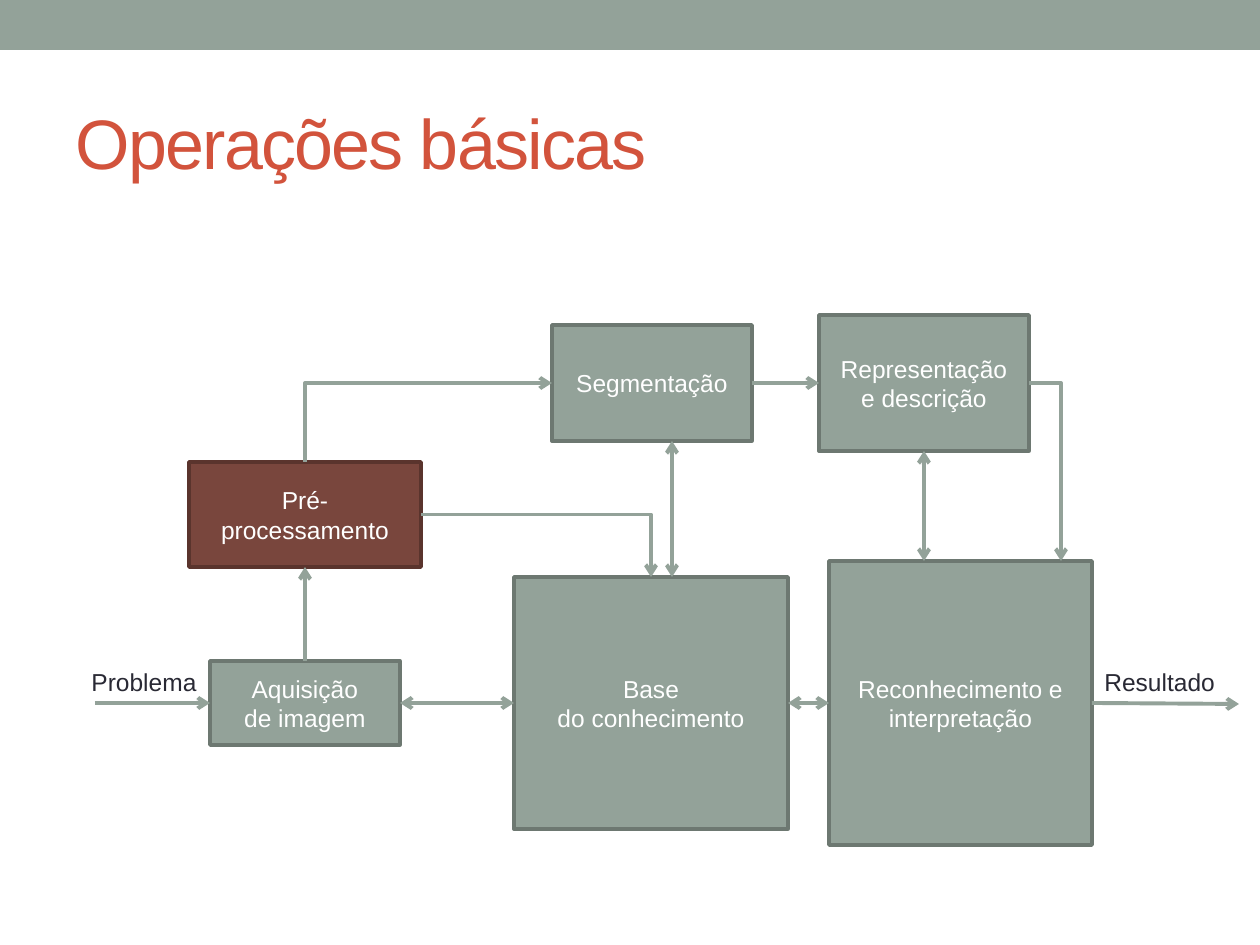
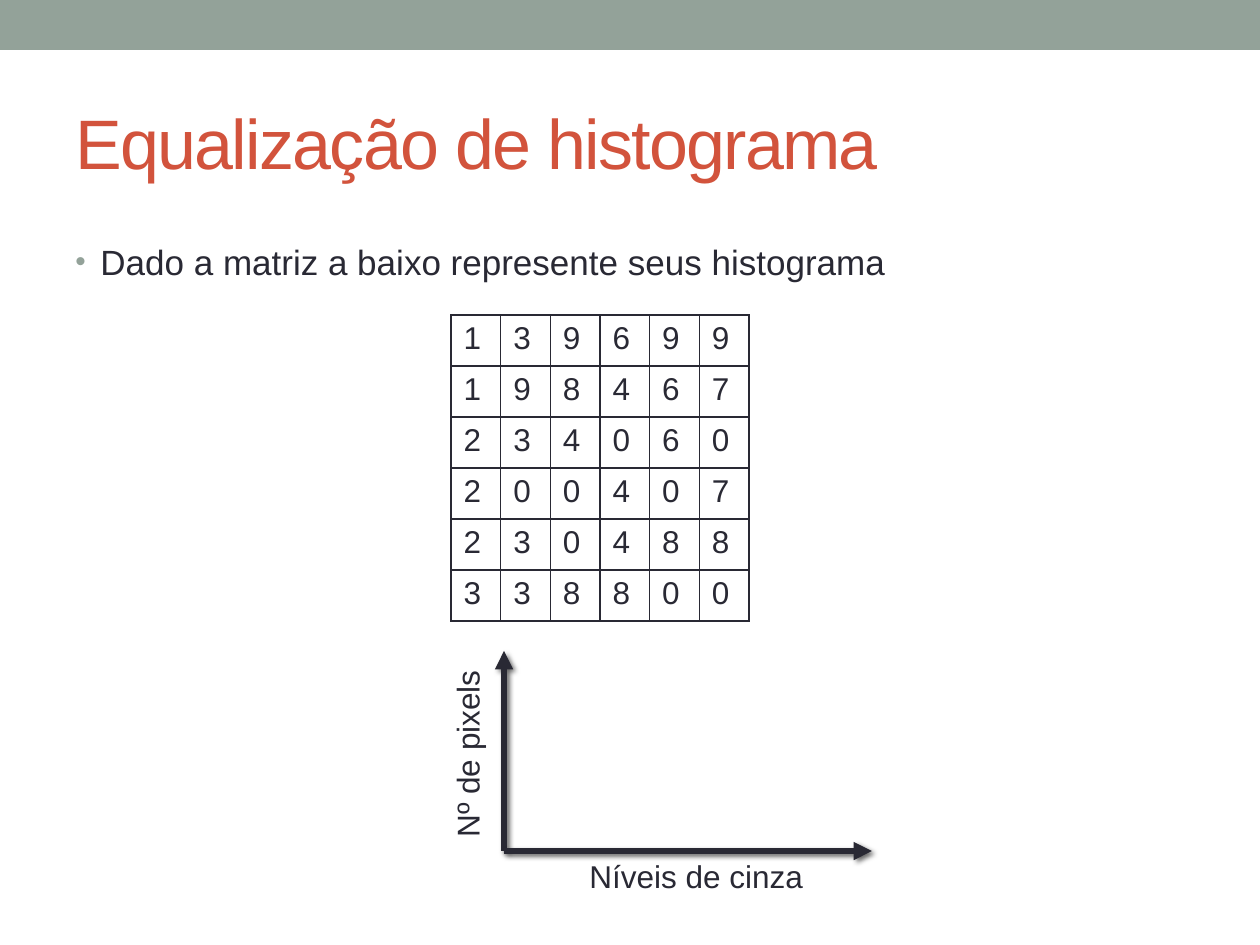
from dataclasses import dataclass

from lxml import etree
from pptx import Presentation
from pptx.dml.color import RGBColor
from pptx.enum.shapes import MSO_CONNECTOR, MSO_SHAPE
from pptx.enum.text import MSO_ANCHOR, MSO_AUTO_SIZE, PP_ALIGN
from pptx.oxml.ns import qn
from pptx.util import Emu, Pt

RECTANGLE = MSO_SHAPE.RECTANGLE
STRAIGHT, ELBOW = MSO_CONNECTOR.STRAIGHT, MSO_CONNECTOR.ELBOW
MIDDLE = MSO_ANCHOR.MIDDLE
LEFT, CENTER = PP_ALIGN.LEFT, PP_ALIGN.CENTER
NO_FIT, GROW = MSO_AUTO_SIZE.NONE, MSO_AUTO_SIZE.SHAPE_TO_FIT_TEXT
TOP_SIDE, LEFT_SIDE, BOTTOM_SIDE, RIGHT_SIDE = range(4)

PX_PER_INCH = 126
FONT = "Arial"
SAGE, SAGE_EDGE = "93A299", "6D7871"
BROWN, BROWN_EDGE = "79463D", "5A342D"
RED, INK, WHITE = "D2533C", "292934", "FFFFFF"


@dataclass(frozen=True)
class Box:
    left: int
    top: int
    width: int
    height: int
    lines: tuple[str, ...]
    fill: str = SAGE
    edge: str = SAGE_EDGE


@dataclass(frozen=True)
class Label:
    text: str
    left: int
    top: int
    width: int
    height: int
    size: int
    rotation: int = 0


@dataclass(frozen=True)
class Arrow:
    start: tuple[int, int]
    end: tuple[int, int]
    start_joint: tuple[str, int] | None = None
    end_joint: tuple[str, int] | None = None
    head: str = ""
    tail: str = "arrow"
    bent: bool = False
    color: str = SAGE
    width: float = 2.25
    shadow: bool = False


BOXES = {
    "acquisition": Box(210, 661, 190, 84, ("Aquisição", "de imagem")),
    "preprocessing": Box(189, 462, 232, 105, ("Pré-processamento",), BROWN, BROWN_EDGE),
    "segmentation": Box(552, 325, 200, 116, ("Segmentação",)),
    "representation": Box(819, 315, 210, 136, ("Representação", "e descrição")),
    "knowledge": Box(514, 577, 274, 252, ("Base", "do conhecimento")),
    "recognition": Box(829, 561, 263, 284, ("Reconhecimento e interpretação",)),
}
FLOW_LABELS = (
    Label("Problema", 79, 661, 131, 43, 14),
    Label("Resultado", 1092, 661, 136, 43, 14),
)
FLOW_ARROWS = (
    Arrow((95, 703), (210, 703), None, ("acquisition", LEFT_SIDE)),
    Arrow((400, 703), (514, 703), ("acquisition", RIGHT_SIDE),
          ("knowledge", LEFT_SIDE), head="arrow"),
    Arrow((305, 661), (305, 567), ("acquisition", TOP_SIDE),
          ("preprocessing", BOTTOM_SIDE)),
    Arrow((552, 383), (305, 462), ("segmentation", LEFT_SIDE),
          ("preprocessing", TOP_SIDE), head="arrow", tail="", bent=True),
    Arrow((752, 383), (819, 383), ("segmentation", RIGHT_SIDE),
          ("representation", LEFT_SIDE)),
    Arrow((421, 514), (651, 577), ("preprocessing", RIGHT_SIDE),
          ("knowledge", TOP_SIDE), bent=True),
    Arrow((788, 703), (829, 703), ("knowledge", RIGHT_SIDE),
          ("recognition", LEFT_SIDE), head="arrow"),
    Arrow((924, 451), (924, 561), ("representation", BOTTOM_SIDE), head="arrow"),
    Arrow((1029, 383), (1061, 561), ("representation", RIGHT_SIDE), bent=True),
    Arrow((1092, 703), (1239, 704), ("recognition", RIGHT_SIDE)),
    Arrow((672, 441), (672, 577), head="arrow"),
)

MATRIX = (
    (1, 3, 9, 6, 9, 9),
    (1, 9, 8, 4, 6, 7),
    (2, 3, 4, 0, 6, 0),
    (2, 0, 0, 4, 0, 7),
    (2, 3, 0, 4, 8, 8),
    (3, 3, 8, 8, 0, 0),
)
AXES = (
    Arrow((504, 651), (504, 851), head="triangle", tail="",
          color=INK, width=3.5, shadow=True),
    Arrow((504, 851), (872, 851), tail="triangle",
          color=INK, width=3.5, shadow=True),
)
AXIS_LABELS = (
    Label("Níveis de cinza", 577, 851, 241, 50, 18),
    Label("Nº de pixels", 370, 728, 194, 50, 18, 270),
)


def px(length: int) -> Emu:
    return Emu(round(length * 914400 / PX_PER_INCH))


def rgb(color: str) -> RGBColor:
    return RGBColor.from_string(color)


def add_child(parent, tag: str, **attributes):
    child = etree.SubElement(parent, qn(tag))
    for name, value in attributes.items():
        child.set(name, str(value))
    return child


def add_run(paragraph, text: str, size: int, color: str):
    run = paragraph.add_run()
    run.text = text
    run.font.name, run.font.size = FONT, Pt(size)
    run.font.color.rgb = rgb(color)
    return run


def add_rectangle(slide, left: int, top: int, width: int, height: int, fill: str):
    shape = slide.shapes.add_shape(RECTANGLE, px(left), px(top), px(width), px(height))
    shape.shadow.inherit = False
    shape.fill.solid()
    shape.fill.fore_color.rgb = rgb(fill)
    return shape


def add_titled_slide(presentation, text: str):
    slide = presentation.slides.add_slide(presentation.slide_layouts[5])
    band = add_rectangle(slide, 0, 0, 1260, 50, SAGE)
    band.line.fill.background()

    title = slide.shapes.title
    title.left, title.top, title.width, title.height = px(63), px(73), px(1134), px(136)
    frame = title.text_frame
    frame.auto_size, frame.vertical_anchor = NO_FIT, MIDDLE
    paragraph = frame.paragraphs[0]
    paragraph.alignment = LEFT
    run = add_run(paragraph, text, 40, RED)
    run.font._element.set("spc", "-100")
    return slide


def add_box(slide, box: Box):
    shape = add_rectangle(slide, box.left, box.top, box.width, box.height, box.fill)
    shape.line.color.rgb = rgb(box.edge)
    shape.line.width = Pt(2.08)
    frame = shape.text_frame
    frame.word_wrap, frame.vertical_anchor = True, MIDDLE
    for index, line in enumerate(box.lines):
        paragraph = frame.add_paragraph() if index else frame.paragraphs[0]
        paragraph.alignment = CENTER
        add_run(paragraph, line, 14, WHITE)
    return shape


def add_label(slide, label: Label) -> None:
    shape = slide.shapes.add_textbox(
        px(label.left), px(label.top), px(label.width), px(label.height))
    shape.rotation = label.rotation
    shape.text_frame.word_wrap = False
    shape.text_frame.auto_size = GROW
    add_run(shape.text_frame.paragraphs[0], label.text, label.size, INK)


def add_arrow(slide, arrow: Arrow, boxes: dict) -> None:
    connector = slide.shapes.add_connector(
        ELBOW if arrow.bent else STRAIGHT, *map(px, arrow.start + arrow.end))
    if arrow.start_joint:
        name, side = arrow.start_joint
        connector.begin_connect(boxes[name], side)
    if arrow.end_joint:
        name, side = arrow.end_joint
        connector.end_connect(boxes[name], side)
    connector.line.color.rgb = rgb(arrow.color)
    connector.line.width = Pt(arrow.width)

    # Single-corner elbow, arrowheads and shadow
    properties = connector._element.spPr
    if arrow.bent:
        properties.find(qn("a:prstGeom")).set("prst", "bentConnector2")
    outline = properties.find(qn("a:ln"))
    for tag, kind in (("a:headEnd", arrow.head), ("a:tailEnd", arrow.tail)):
        if kind:
            add_child(outline, tag, type=kind)
    effects = add_child(properties, "a:effectLst")
    if arrow.shadow:
        shadow = add_child(effects, "a:outerShdw", blurRad=Pt(3), dist=Pt(2),
                           dir=45 * 60000, rotWithShape=0)
        add_child(add_child(shadow, "a:srgbClr", val="000000"), "a:alpha", val=60000)


def add_bullet(slide, text: str) -> None:
    shape = slide.shapes.add_textbox(px(63), px(234), px(1134), px(155))
    shape.text_frame.word_wrap = True
    paragraph = shape.text_frame.paragraphs[0]
    properties = paragraph._p.get_or_add_pPr()
    properties.set("marL", str(px(25)))
    properties.set("indent", str(px(-25)))
    add_child(add_child(properties, "a:buClr"), "a:srgbClr", val=SAGE)
    add_child(properties, "a:buSzPct", val=85000)
    add_child(properties, "a:buFont", typeface=FONT)
    add_child(properties, "a:buChar", char="•")
    add_run(paragraph, text, 20, INK)


def add_cell_borders(cell) -> None:
    properties = cell._tc.get_or_add_tcPr()
    for index, side in enumerate(("a:lnL", "a:lnR", "a:lnT", "a:lnB")):
        border = add_child(properties, side, w=Pt(1))
        add_child(add_child(border, "a:solidFill"), "a:srgbClr", val=INK)
        properties.insert(index, border)


def add_matrix(slide) -> None:
    table = slide.shapes.add_table(
        len(MATRIX), len(MATRIX[0]), px(451), px(315), px(298), px(306)).table
    table.first_row = table.horz_banding = False
    for row, values in enumerate(MATRIX):
        for column, value in enumerate(values):
            cell = table.cell(row, column)
            cell.fill.background()
            add_cell_borders(cell)
            add_run(cell.text_frame.paragraphs[0], str(value), 18, INK)


def build_operations(presentation) -> None:
    slide = add_titled_slide(presentation, "Operações básicas")
    boxes = {name: add_box(slide, box) for name, box in BOXES.items()}
    for label in FLOW_LABELS:
        add_label(slide, label)
    for arrow in FLOW_ARROWS:
        add_arrow(slide, arrow, boxes)


def build_equalization(presentation) -> None:
    slide = add_titled_slide(presentation, "Equalização de histograma")
    add_bullet(slide, "Dado a matriz a baixo represente seus histograma")
    add_matrix(slide)
    for axis in AXES:
        add_arrow(slide, axis, {})
    for label in AXIS_LABELS:
        add_label(slide, label)


def main() -> None:
    presentation = Presentation()
    presentation.slide_width, presentation.slide_height = px(1260), px(945)
    build_operations(presentation)
    build_equalization(presentation)
    presentation.save("out.pptx")


if __name__ == "__main__":
    main()
